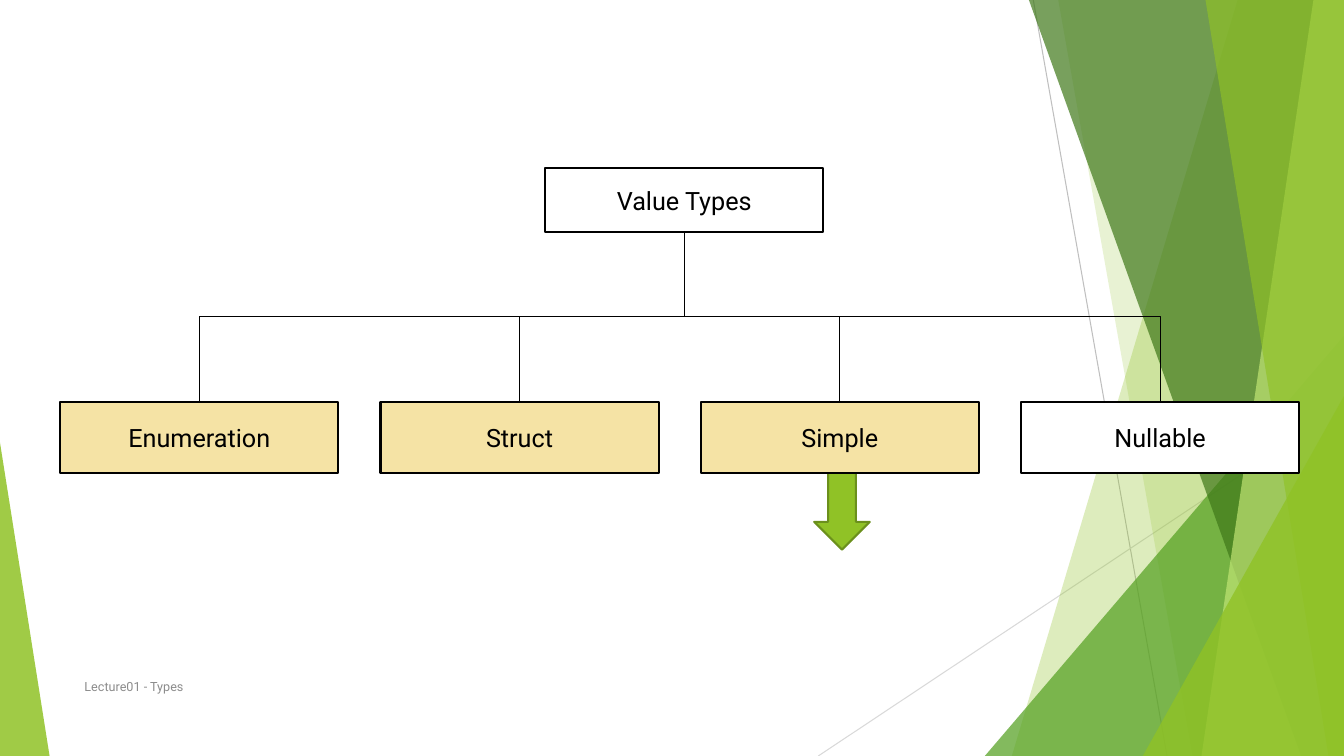
from lxml import etree
from pptx import Presentation
from pptx import util as u
from pptx.dml import color
from pptx.enum import shapes, text
from pptx.oxml import ns

WIDTH, HEIGHT = 33.87, 19.05
FONT = "Roboto"
LIME, BLACK, WHITE, SAND = "90C226", "000000", "FFFFFF", "F5E3A5"


def paint(fill, colour, opacity=100):
    """Give a fill a solid hex colour and an opacity in percent."""
    fill.solid()
    fill.fore_color.rgb = color.RGBColor.from_string(colour)
    if opacity < 100:
        colour_node = fill.fore_color._xFill.find(ns.qn("a:srgbClr"))
        alpha = etree.SubElement(colour_node, ns.qn("a:alpha"))
        alpha.set("val", str(opacity * 1000))


def outline(line, colour=None, points=0.75):
    """Draw an outline, or none when no colour is given."""
    if colour is None:
        line.fill.background()
        return
    paint(line.fill, colour)
    line.width = u.Pt(points)


def add_preset(slide, kind, bounds, colour, opacity=100, edge=None):
    """Add a preset shape at left, top, width, height in centimetres."""
    shape = slide.shapes.add_shape(kind, *map(u.Cm, bounds))
    shape.shadow.inherit = False
    paint(shape.fill, colour, opacity)
    outline(shape.line, edge, 1.5)
    return shape


def add_wedge(slide, top_x, bottom_x, colour, opacity):
    """Add a full-height panel from a slanted left side to the slide's edge."""
    builder = slide.shapes.build_freeform(u.Cm(top_x), 0)
    corners = [(WIDTH, 0), (WIDTH, HEIGHT), (bottom_x, HEIGHT)]
    builder.add_line_segments([(u.Cm(x), u.Cm(y)) for x, y in corners])
    shape = builder.convert_to_shape()
    shape.shadow.inherit = False
    paint(shape.fill, colour, opacity)
    outline(shape.line)


def add_triangle(slide, bounds, apex, colour, opacity):
    """Add a right triangle whose apex lies at 0 (left) or 1 (right)."""
    shape = add_preset(slide, shapes.MSO_SHAPE.ISOSCELES_TRIANGLE, bounds,
                       colour, opacity)
    shape.adjustments[0] = apex


def add_line(slide, kind, ends, colour):
    """Add a thin connector without a shadow."""
    connector = slide.shapes.add_connector(kind, *map(u.Cm, ends))
    outline(connector.line, colour)
    etree.SubElement(connector._element.spPr, ns.qn("a:effectLst"))
    return connector


def write(shape, words, points, colour, alignment):
    """Put one vertically centred line of text into a shape."""
    frame = shape.text_frame
    frame.word_wrap = True
    frame.vertical_anchor = text.MSO_ANCHOR.MIDDLE
    paragraph = frame.paragraphs[0]
    paragraph.alignment = alignment
    run = paragraph.add_run()
    run.text = words
    run.font.name = FONT
    run.font.size = u.Pt(points)
    paint(run.font.fill, colour)


def add_box(slide, words, bounds, colour):
    """Add a labelled box of the type tree."""
    box = add_preset(slide, shapes.MSO_SHAPE.RECTANGLE, bounds, colour,
                     edge=BLACK)
    write(box, words, 18, BLACK, text.PP_ALIGN.CENTER)
    return box


def add_branch(slide, parent, child):
    """Join a parent's bottom to a child's top, bending halfway down."""
    connector = add_line(slide, shapes.MSO_CONNECTOR.ELBOW, (0, 0, 0, 0), BLACK)
    connector.begin_connect(parent, 2)
    connector.end_connect(child, 0)
    start_x = parent.left + parent.width // 2
    start_y = parent.top + parent.height
    end_x = child.left + child.width // 2
    drop, reach = child.top - start_y, abs(end_x - start_x)
    # The elbow is stored lying on its side, turned about its centre.
    connector.left = (start_x + end_x - drop) // 2
    connector.top = (start_y + child.top - reach) // 2
    connector.width, connector.height = drop, reach
    rightward = end_x > start_x
    transform = connector._element.spPr.find(ns.qn("a:xfrm"))
    transform.set("rot", str((270 if rightward else 90) * 60000))
    transform.set("flipH", "1" if rightward else "0")
    transform.set("flipV", "0")


def add_decoration(slide):
    """Draw the green facets along the slide's sides."""
    straight = shapes.MSO_CONNECTOR.STRAIGHT
    add_line(slide, straight, (26.04, 0, 29.41, HEIGHT), "BFBFBF")
    add_line(slide, straight, (WIDTH, 10.24, 20.62, HEIGHT), "D9D9D9")
    add_wedge(slide, 31.19, 25.5, LIME, 30)
    add_wedge(slide, 26.67, 30.05, LIME, 20)
    add_triangle(slide, (24.82, 8.46, 9.05, 10.59), 1, "54A021", 72)
    add_wedge(slide, 25.93, 32.79, "3F7819", 70)
    add_wedge(slide, 33.1, 30.28, "C0E474", 70)
    add_wedge(slide, 30.38, 33.48, LIME, 65)
    add_triangle(slide, (28.8, 9.98, 5.07, 9.07), 1, LIME, 80)
    add_triangle(slide, (0, 11.15, 1.25, 7.9), 0, LIME, 85)


def add_type_tree(slide):
    """Draw the value types, their branches and the arrow below Simple."""
    add_preset(slide, shapes.MSO_SHAPE.DOWN_ARROW, (20.52, 11.84, 1.4, 2.01),
               LIME, edge="6B901C")
    root = add_box(slide, "Value Types", (13.74, 4.24, 7.01, 1.6), WHITE)
    kinds = [("Enumeration", SAND), ("Struct", SAND), ("Simple", SAND),
             ("Nullable", WHITE)]
    for column, (name, colour) in enumerate(kinds):
        bounds = (1.52 + 8.07 * column, 10.13, 7.01, 1.8)
        add_branch(slide, root, add_box(slide, name, bounds, colour))


def main():
    """Build and save the slide."""
    presentation = Presentation()
    presentation.slide_width = u.Cm(WIDTH)
    presentation.slide_height = u.Cm(HEIGHT)
    slide = presentation.slides.add_slide(presentation.slide_layouts[6])
    paint(slide.background.fill, WHITE)
    add_decoration(slide)
    add_type_tree(slide)
    footer = slide.shapes.add_textbox(*map(u.Cm, (1.88, 16.79, 17.5, 1.02)))
    write(footer, "Lecture01 - Types", 9, "8C8C8C", text.PP_ALIGN.LEFT)
    presentation.save("out.pptx")


main()
